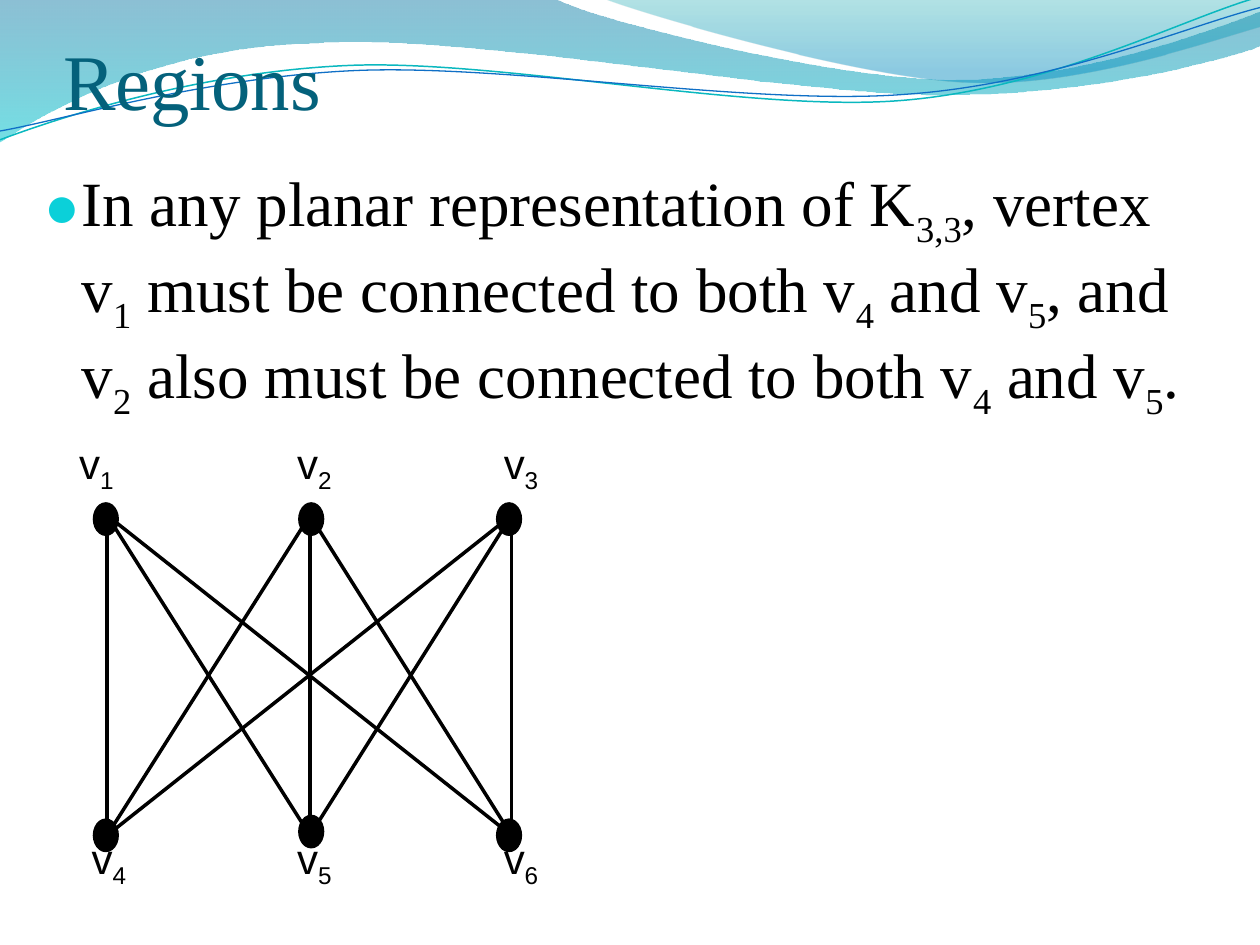
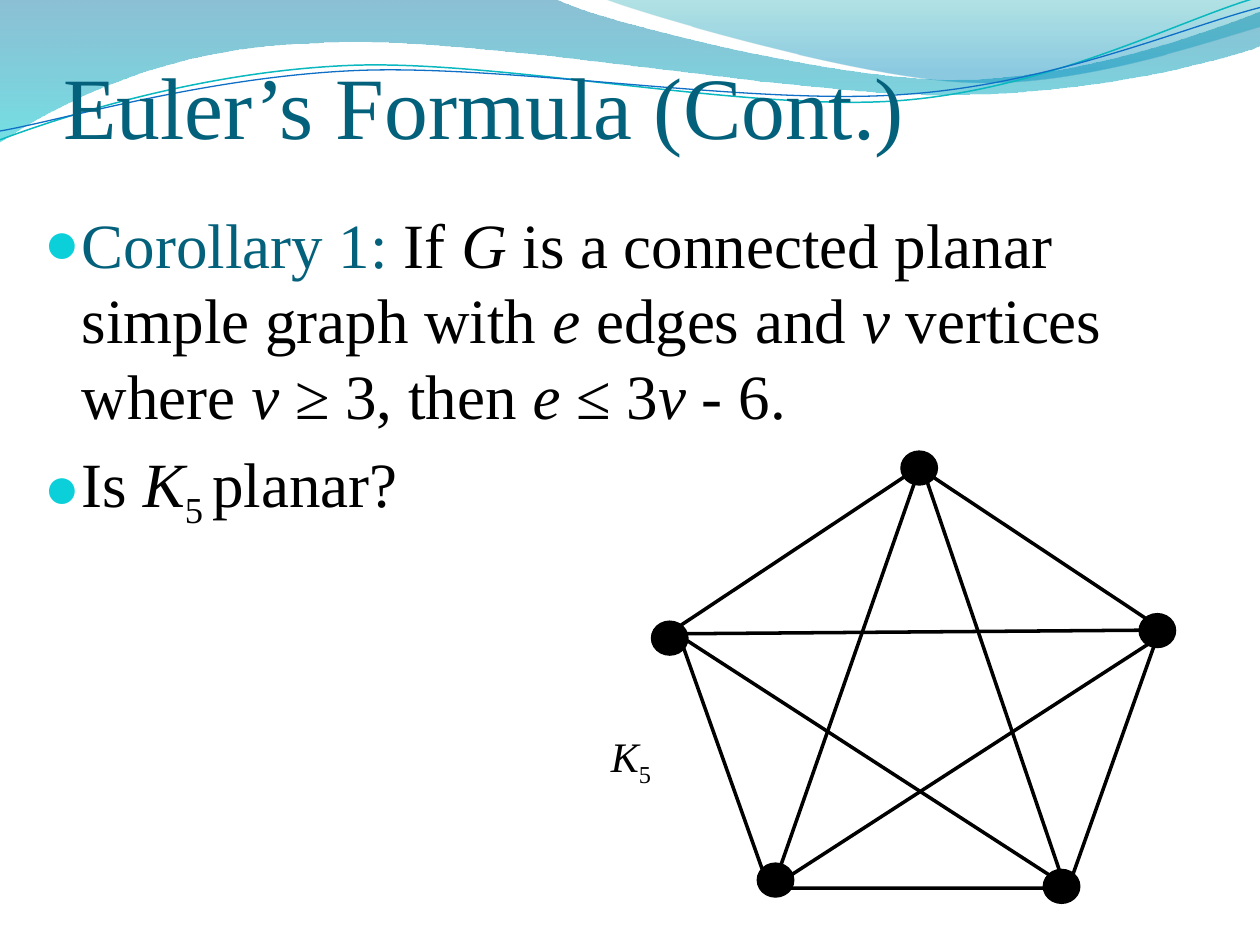
"""Build two slides on planar graphs: K3,3 regions and Euler's formula."""
from itertools import product

from lxml.etree import SubElement
from pptx import Presentation
from pptx.dml.color import RGBColor
from pptx.enum.shapes import MSO_CONNECTOR, MSO_SHAPE
from pptx.enum.text import MSO_ANCHOR, MSO_AUTO_SIZE, PP_ALIGN
from pptx.oxml.ns import qn
from pptx.util import Inches, Pt

COLORS = {
    "ink": "000000", "accent": "04617B", "bullet": "0BD0D9",
    "band_top": "0074A1", "band_bottom": "00C6CF",
    "crest_top": "00A1A9", "crest_bottom": "008BBF",
    "teal_line": "0AB8BF", "blue_line": "0F6FC6",
}
SERIF, SANS = "Times New Roman", "Arial"

BAND = [
    (0, 0), (4.4, -0.01),
    (4.76, 0.17, 6.64, 0.63, 7.58, 0.63), (8.53, 0.63, 9.58, 0.26, 10, 0.09),
    (10.01, 0.36),
    (9.83, 0.44, 8.7, 0.76, 7.46, 0.75), (6.22, 0.75, 3.82, 0.28, 2.57, 0.34),
    (1.29, 0.36, 0.46, 0.83, -0.01, 1.13), (0, 0),
]
CREST = [
    (4.79, -0.01),
    (5.09, 0.11, 6.82, 0.62, 7.69, 0.65), (8.56, 0.69, 9.61, 0.32, 10, 0.21),
    (10, 0), (4.79, -0.01),
]
TEAL_WAVE = [
    (0, 1.11), (0.48, 0.93, 1.58, 0.57, 2.77, 0.52),
    (3.95, 0.47, 5.93, 0.89, 7.13, 0.8), (8.33, 0.71, 9.38, 0.15, 9.98, -0.02),
]
BLUE_WAVE = [
    (0, 1.04), (0.47, 0.96, 1.64, 0.61, 2.83, 0.56),
    (4.03, 0.51, 5.97, 0.84, 7.17, 0.75), (8.36, 0.67, 9.41, 0.21, 10, 0.06),
]


def color(name):
    """Return the named colour."""
    return RGBColor.from_string(COLORS[name])


def add_wave(page, path, closed):
    """Draw an outline of lines and cubic curves and return its shape."""
    start, *steps = path
    points = [step[i:i + 2] for step in steps for i in range(0, len(step), 2)]
    builder = page.shapes.build_freeform(*map(Inches, start))
    builder.add_line_segments([(Inches(x), Inches(y)) for x, y in points], close=closed)
    wave = builder.convert_to_shape()
    wave.shadow.inherit = False
    segments = iter(list(wave.element.spPr.iter(qn("a:lnTo"))))
    for step in steps:
        segment = next(segments)
        if len(step) == 6:
            curve = SubElement(segment.getparent(), qn("a:cubicBezTo"))
            segment.addprevious(curve)
            for part in (segment, next(segments), next(segments)):
                curve.append(part[0])
                part.getparent().remove(part)
    return wave


def add_gradient_wave(page, path, stops):
    """Draw a closed wave with a downward, partly transparent gradient."""
    wave = add_wave(page, path, closed=True)
    wave.line.fill.background()
    wave.fill.gradient()
    wave.fill.gradient_angle = 270
    for stop, (position, name, _) in zip(wave.fill.gradient_stops, stops):
        stop.position = position
        stop.color.rgb = color(name)
    tints = wave.element.spPr.iter(qn("a:srgbClr"))
    for tint, (_, _, opacity) in zip(list(tints), stops):
        SubElement(tint, qn("a:alpha"), val=str(opacity * 1000))
    return wave


def add_line_wave(page, path, name, width):
    """Draw an open wave as a thin line."""
    wave = add_wave(page, path, closed=False)
    wave.fill.background()
    wave.line.color.rgb = color(name)
    wave.line.width = Pt(width)
    return wave


def decorate_layout(page):
    """Place the header waves on the layout that the slides share."""
    waves = [
        add_gradient_wave(page, BAND, [(0, "band_top", 45), (1, "band_bottom", 55)]),
        add_gradient_wave(page, CREST, [(0, "crest_top", 30), (0.8, "crest_bottom", 45)]),
        add_line_wave(page, TEAL_WAVE, "teal_line", 0.85),
        add_line_wave(page, BLUE_WAVE, "blue_line", 0.75),
    ]
    for number, wave in enumerate(waves, start=20):
        wave.element.nvSpPr.cNvPr.id = number
        page.slide_layout.shapes.element.append(wave.element)


def add_spans(para, text, size, font=SERIF):
    """Write pieces split by |, led by _ (subscript), / (italic) or # (accent)."""
    for piece in text.split("|"):
        mark = piece[0] if piece[0] in "_/#" else ""
        span = para.add_run()
        span.text = piece[len(mark):]
        span.font.name = font
        span.font.size = Pt(size)
        span.font.italic = mark == "/"
        span.font.color.rgb = color("accent" if mark == "#" else "ink")
        if mark == "_":
            span.font._element.set("baseline", "-25000")


def add_bullet(para):
    """Give a paragraph a round bullet with a hanging indent."""
    properties = para._p.get_or_add_pPr()
    properties.set("marL", str(Inches(0.3)))
    properties.set("indent", str(-Inches(0.3)))
    tint = SubElement(properties, qn("a:buClr"))
    SubElement(tint, qn("a:srgbClr"), val=COLORS["bullet"])
    SubElement(properties, qn("a:buSzPct"), val="95000")
    SubElement(properties, qn("a:buFont"), typeface=SANS)
    SubElement(properties, qn("a:buChar"), char="●")


def add_tabs(para, stops):
    """Give a paragraph left tab stops."""
    tabs = SubElement(para._p.get_or_add_pPr(), qn("a:tabLst"))
    for stop in stops:
        SubElement(tabs, qn("a:tab"), pos=str(Inches(stop)), algn="l")


def add_box(page, left, top, width, height):
    """Add a wrapping text box and return its frame."""
    box = page.shapes.add_textbox(Inches(left), Inches(top), Inches(width), Inches(height))
    box.text_frame.word_wrap = True
    return box.text_frame


def add_body(page, top, height, items):
    """Add the bulleted text."""
    frame = add_box(page, 0.25, top, 9.42, height)
    for index, item in enumerate(items):
        para = frame.add_paragraph() if index else frame.paragraphs[0]
        add_bullet(para)
        para.space_before = Pt(7.2 if index else 0)
        add_spans(para, item, size=36)


def add_page(deck, title, size, height):
    """Add a titled slide."""
    page = deck.slides.add_slide(deck.slide_layouts[5])
    box = page.shapes.title
    box.left, box.top = Inches(0.5), Inches(0.17)
    box.width, box.height = Inches(9), Inches(height)
    frame = box.text_frame
    frame.auto_size = MSO_AUTO_SIZE.NONE
    frame.vertical_anchor = MSO_ANCHOR.BOTTOM
    frame.margin_left = frame.margin_right = frame.margin_bottom = 0
    frame.margin_top = Inches(0.05)
    para = frame.paragraphs[0]
    para.alignment = PP_ALIGN.LEFT
    add_spans(para, "#" + title, size)
    return page


def add_edge(page, start, end):
    """Draw a straight edge between two points."""
    edge = page.shapes.add_connector(
        MSO_CONNECTOR.STRAIGHT, *(Inches(value) for value in (*start, *end)))
    edge.line.color.rgb = color("ink")
    edge.line.width = Pt(2)
    SubElement(edge._element.spPr, qn("a:effectLst"))


def add_outline(page, kind, left, top, width, height, line_width):
    """Add a black-lined preset shape and return it."""
    shape = page.shapes.add_shape(
        kind, Inches(left), Inches(top), Inches(width), Inches(height))
    shape.shadow.inherit = False
    shape.fill.background()
    shape.line.color.rgb = color("ink")
    shape.line.width = Pt(line_width)
    return shape


def add_vertex(page, left, top, width, height, line_width):
    """Add a filled vertex dot."""
    dot = add_outline(page, MSO_SHAPE.OVAL, left, top, width, height, line_width)
    dot.fill.solid()
    dot.fill.fore_color.rgb = color("ink")


def add_vertex_labels(page):
    """Label the upper and lower vertices on tab stops of one text box."""
    frame = add_box(page, 0.17, 3.42, 5.33, 3.76)
    rows = ((frame.paragraphs[0], 1, 0.36, 0), (frame.add_paragraph(), 4, 0.46, 193))
    for para, first, indent, gap in rows:
        para.space_before = Pt(gap)
        add_tabs(para, (indent, 2.09, 3.73))
        labels = (f"\tv|_{number}" for number in range(first, first + 3))
        add_spans(para, "|".join(labels), size=24, font=SANS)


def draw_bipartite_graph(page):
    """Draw K3,3 with its labelled vertices."""
    columns = (0.85, 2.46, 4.06)
    for upper, lower in product(columns, columns):
        add_edge(page, (upper, 4.09), (lower, 6.63))
    for left, lower_top in zip((0.75, 2.38, 3.95), (6.51, 6.48, 6.51)):
        for top in (4, lower_top):
            add_vertex(page, left, top, 0.18, 0.24, line_width=2)
    add_vertex_labels(page)


def draw_complete_graph(page):
    """Draw K5 as a pentagon with its diagonals."""
    add_outline(page, MSO_SHAPE.REGULAR_PENTAGON, 5.37, 3.71, 3.84, 3.34, line_width=2)
    diagonals = (
        ((5.37, 5.03), (8.46, 7.03)), ((5.4, 5.03), (9.27, 5)),
        ((7.29, 3.74), (6.13, 7.06)), ((7.32, 3.71), (8.46, 7.06)),
        ((9.24, 5.03), (6.07, 7.08)),
    )
    for start, end in diagonals:
        add_edge(page, start, end)
    for left, top in ((7.15, 3.58), (9.04, 4.87), (5.17, 4.93), (8.28, 6.9), (6.01, 6.85)):
        add_vertex(page, left, top, 0.29, 0.27, line_width=0.75)
    add_spans(add_box(page, 4.75, 5.75, 0.83, 0.5).paragraphs[0], "/K|_5", size=24)


def main():
    """Build and save the deck."""
    deck = Presentation()
    deck.slide_width, deck.slide_height = Inches(10), Inches(7.5)

    regions = add_page(deck, "Regions", size=45, height=0.83)
    decorate_layout(regions)
    add_body(regions, 1.25, 2.5, [
        "In any planar representation of K|_3,3|, vertex v|_1| must be connected to both v|_4"
        "| and v|_5|, and v|_2| also must be connected to both v|_4| and v|_5|."])
    draw_bipartite_graph(regions)

    euler = add_page(deck, "Euler’s Formula (Cont.)", size=50, height=1.08)
    add_body(euler, 1.58, 2.75, [
        "#Corollary 1:| If |/G| is a connected planar simple graph with |/e| edges and |/v"
        "| vertices where |/v |≥ 3, then |/e| ≤ 3|/v| - 6.",
        "Is |/K|_5 |planar?"])
    draw_complete_graph(euler)

    deck.save("out.pptx")


if __name__ == "__main__":
    main()
